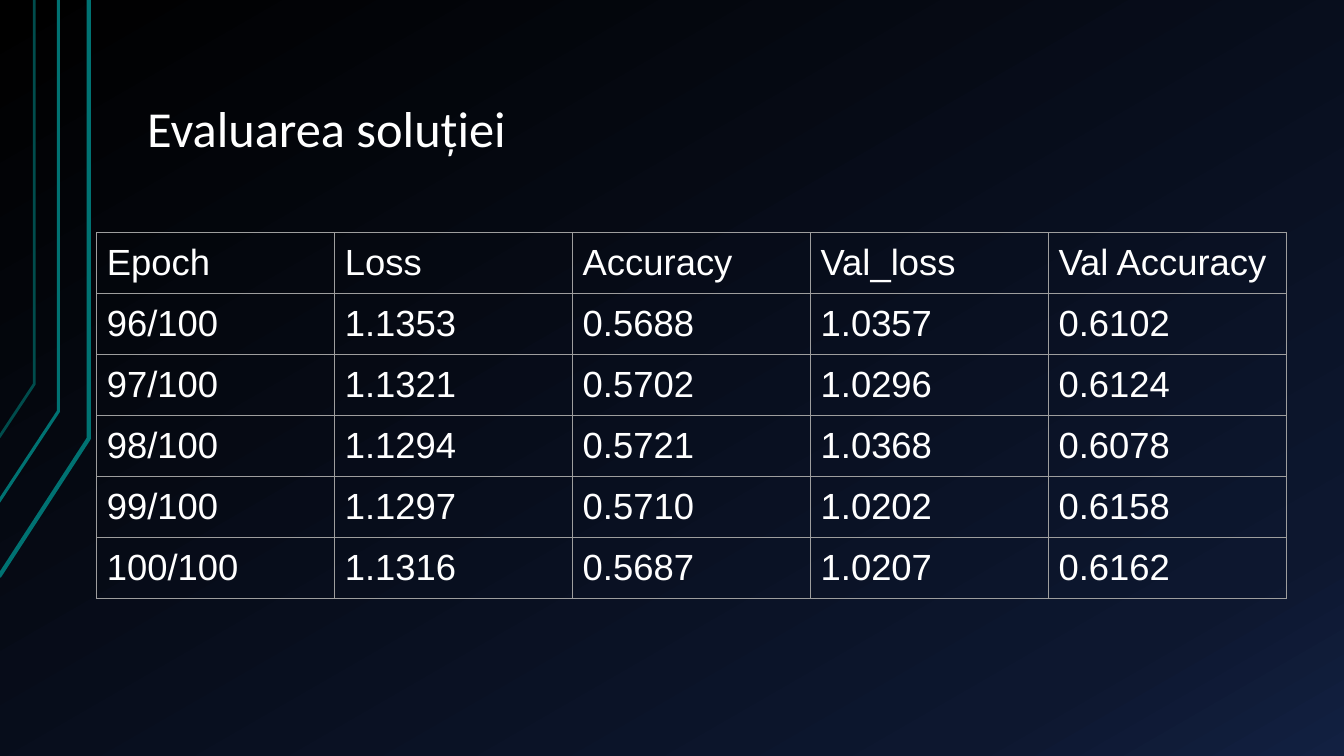
import copy

import pptx
import pptx.dml.color
import pptx.enum.text
import pptx.oxml
import pptx.oxml.ns
import pptx.util

Inches = pptx.util.Inches
Pt = pptx.util.Pt

BACKGROUND_STOPS = [(0, "000000"), (0.85, "0D172F"), (1, "122041")]
# Points in inches from the top left corner, colour, width in points
SIDE_LINES = [
    ([(-0.01, 5.72), (0.88, 4.35), (0.88, 0)], "007272", 3),
    ([(-0.02, 4.99), (0.58, 4.08), (0.58, 0)], "007272", 2.25),
    ([(-0.01, 4.34), (0.34, 3.81), (0.34, 0)], "004C4C", 2),
]
RESULTS = [
    ["Epoch", "Loss", "Accuracy", "Val_loss", "Val Accuracy"],
    ["96/100", "1.1353", "0.5688", "1.0357", "0.6102"],
    ["97/100", "1.1321", "0.5702", "1.0296", "0.6124"],
    ["98/100", "1.1294", "0.5721", "1.0368", "0.6078"],
    ["99/100", "1.1297", "0.5710", "1.0202", "0.6158"],
    ["100/100", "1.1316", "0.5687", "1.0207", "0.6162"],
]


def color(value):
    return pptx.dml.color.RGBColor.from_string(value)


def format_text(para, font_name, size):
    for span in para.runs:
        span.font.name = font_name
        span.font.size = Pt(size)
        span.font.color.rgb = color("FFFFFF")


def set_margins(area, horizontal, vertical):
    area.margin_left = area.margin_right = Inches(horizontal)
    area.margin_top = area.margin_bottom = Inches(vertical)


def paint_background(page):
    fill = page.background.fill
    fill.gradient()
    fill.gradient_angle = 300
    stop_list = page.element.find(".//" + pptx.oxml.ns.qn("a:gsLst"))
    stop_list.append(copy.deepcopy(stop_list[-1]))
    for stop, (position, value) in zip(fill.gradient_stops, BACKGROUND_STOPS):
        stop.position = position
        stop.color.rgb = color(value)


def add_side_lines(page, left, top):
    for points, value, width in SIDE_LINES:
        corners = [(Inches(left + x), Inches(top + y)) for x, y in points]
        builder = page.shapes.build_freeform(*corners[0])
        builder.add_line_segments(corners[1:], close=False)
        line = builder.convert_to_shape()
        line.shadow.inherit = False
        line.fill.background()
        line.line.color.rgb = color(value)
        line.line.width = Pt(width)


def add_title(page, text, left, top, width, height):
    title = page.shapes.title
    title.left, title.top = Inches(left), Inches(top)
    title.width, title.height = Inches(width), Inches(height)
    frame = title.text_frame
    frame.text = text
    frame.word_wrap = True
    frame.vertical_anchor = pptx.enum.text.MSO_ANCHOR.BOTTOM
    set_margins(frame, 0.13, 0.07)
    para = frame.paragraphs[0]
    para.alignment = pptx.enum.text.PP_ALIGN.LEFT
    para.line_spacing = 0.9
    format_text(para, "Calibri", 36)


def set_borders(cell, value, width):
    properties = cell._tc.get_or_add_tcPr()
    for index, side in enumerate(("lnL", "lnR", "lnT", "lnB")):
        border = pptx.oxml.parse_xml(
            f'<a:{side} {pptx.oxml.ns.nsdecls("a")} w="{Pt(width)}">'
            f'<a:solidFill><a:srgbClr val="{value}"/></a:solidFill></a:{side}>'
        )
        properties.insert(index, border)


def add_results_table(page, rows, left, top, width, height):
    table = page.shapes.add_table(
        len(rows), len(rows[0]),
        Inches(left), Inches(top), Inches(width), Inches(height),
    ).table
    table.first_row = table.horz_banding = False
    for row_index, row in enumerate(rows):
        for column_index, text in enumerate(row):
            cell = table.cell(row_index, column_index)
            cell.text = text
            cell.fill.background()
            set_margins(cell, 0.1, 0.1)
            set_borders(cell, "9E9E9E", 0.75)
            format_text(cell.text_frame.paragraphs[0], "Arial", 26)


def main():
    deck = pptx.Presentation()
    deck.slide_width, deck.slide_height = Inches(13.33), Inches(7.5)
    page = deck.slides.add_slide(deck.slide_layouts.get_by_name("Title Only"))
    paint_background(page)
    add_side_lines(page, 0, 0)
    add_title(page, "Evaluarea soluției", 1.33, 0.3, 11.33, 1.34)
    add_results_table(page, RESULTS, 0.96, 2.31, 11.8, 3.6)
    deck.save("out.pptx")


if __name__ == "__main__":
    main()
